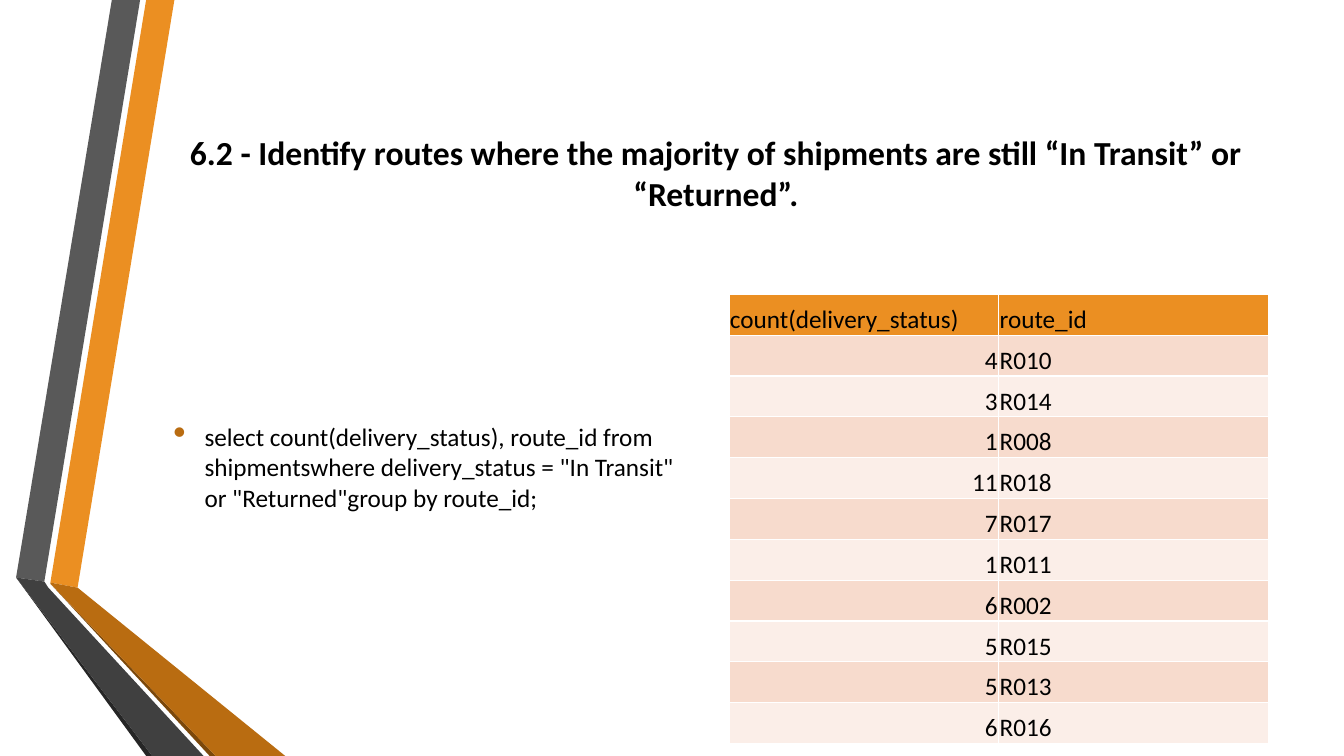
from dataclasses import dataclass
from lxml.etree import SubElement
from pptx import Presentation
from pptx.dml.color import RGBColor
from pptx.enum.text import MSO_ANCHOR as Anchor, PP_ALIGN as Align
from pptx.oxml.ns import qn
from pptx.util import Inches, Pt


@dataclass(frozen=True)
class Theme:
    font: str = "Calibri"
    title: int = 24
    body: int = 18
    text: str = "000000"
    orange: str = "EB8F22"
    rust: str = "B96C11"
    brown: str = "7B480B"
    gray: str = "595959"
    dark: str = "404040"
    black: str = "262626"
    bands: tuple = ("F7DBCD", "FBEEE8")


theme = Theme()


def style(para, size, bold=False):
    font = para.font
    font.name, font.size, font.bold = theme.font, Pt(size), bold
    font.color.rgb = RGBColor.from_string(theme.text)


def add_box(left, top, width, height, text):
    box = slide.shapes.add_textbox(*map(Inches, (left, top, width, height)))
    frame = box.text_frame
    frame.word_wrap = True
    frame.vertical_anchor = Anchor.MIDDLE
    frame.text = text
    return frame.paragraphs[0]


deck = Presentation()
deck.slide_width, deck.slide_height = Inches(13.33), Inches(7.5)
slide = deck.slides.add_slide(deck.slide_layouts[6])

# Folded ribbons on the left, back to front
ribbons = [
    (theme.orange, [(0.5, 5.78), (0.77, 5.83), (1.73, 0), (1.45, 0)]),
    (theme.gray, [(1.39, 0), (1.11, 0), (0.16, 5.73), (0.44, 5.77)]),
    (theme.black, [(0.16, 5.73), (1.45, 7.5), (1.51, 7.5)]),
    (theme.brown, [(0.5, 5.79), (2.08, 7.5), (2.14, 7.5)]),
    (theme.rust, [(0.5, 5.78), (0.5, 5.79), (2.14, 7.5), (2.83, 7.5), (0.77, 5.83)]),
    (theme.dark, [(2.02, 7.5), (0.48, 5.83), (0.44, 5.77), (0.16, 5.73), (1.51, 7.5)]),
]
for color, points in ribbons:
    start, *rest = [(Inches(x), Inches(y)) for x, y in points]
    path = slide.shapes.build_freeform(*start)
    path.add_line_segments(rest)
    ribbon = path.convert_to_shape()
    ribbon.shadow.inherit = False
    ribbon.fill.solid()
    ribbon.fill.fore_color.rgb = RGBColor.from_string(color)
    ribbon.line.fill.background()

# Title
title = add_box(1.62, 0.75, 10.96, 1.92,
                "6.2 - Identify routes where the majority of shipments "
                "are still “In Transit” or “Returned”.")
title.alignment = Align.CENTER
style(title, theme.title, bold=True)

# Query with its bullet
query = add_box(1.62, 2.92, 5.35, 3.42,
                'select count(delivery_status), route_id from shipmentswhere '
                'delivery_status = "In Transit" or "Returned"group by route_id;')
query.space_after = Pt(6)
props = query._p.get_or_add_pPr()
props.set("marL", str(Inches(0.31)))
props.set("indent", str(Inches(-0.31)))
tint = SubElement(props, qn("a:buClr"))
SubElement(tint, qn("a:srgbClr"), val=theme.rust)
SubElement(props, qn("a:buSzPct"), val="145000")
SubElement(props, qn("a:buChar"), char="•")
style(query, theme.body)

# Result table
rows = [
    ("count(delivery_status)", "route_id"),
    (4, "R010"), (3, "R014"), (1, "R008"), (11, "R018"), (7, "R017"),
    (1, "R011"), (6, "R002"), (5, "R015"), (5, "R013"), (6, "R016"),
]
table = slide.shapes.add_table(len(rows), 2, Inches(7.23), Inches(2.92),
                               Inches(5.35), Inches(4.46)).table
for r, row in enumerate(rows):
    fill = theme.bands[(r - 1) % 2] if r else theme.orange
    for c, value in enumerate(row):
        cell = table.cell(r, c)
        cell.text = str(value)
        cell.vertical_anchor = Anchor.BOTTOM
        cell.margin_left = cell.margin_top = cell.margin_right = Inches(0.01)
        cell.margin_bottom = 0
        cell.fill.solid()
        cell.fill.fore_color.rgb = RGBColor.from_string(fill)
        para = cell.text_frame.paragraphs[0]
        para.alignment = Align.RIGHT if isinstance(value, int) else Align.LEFT
        style(para, theme.body)

deck.save("out.pptx")
